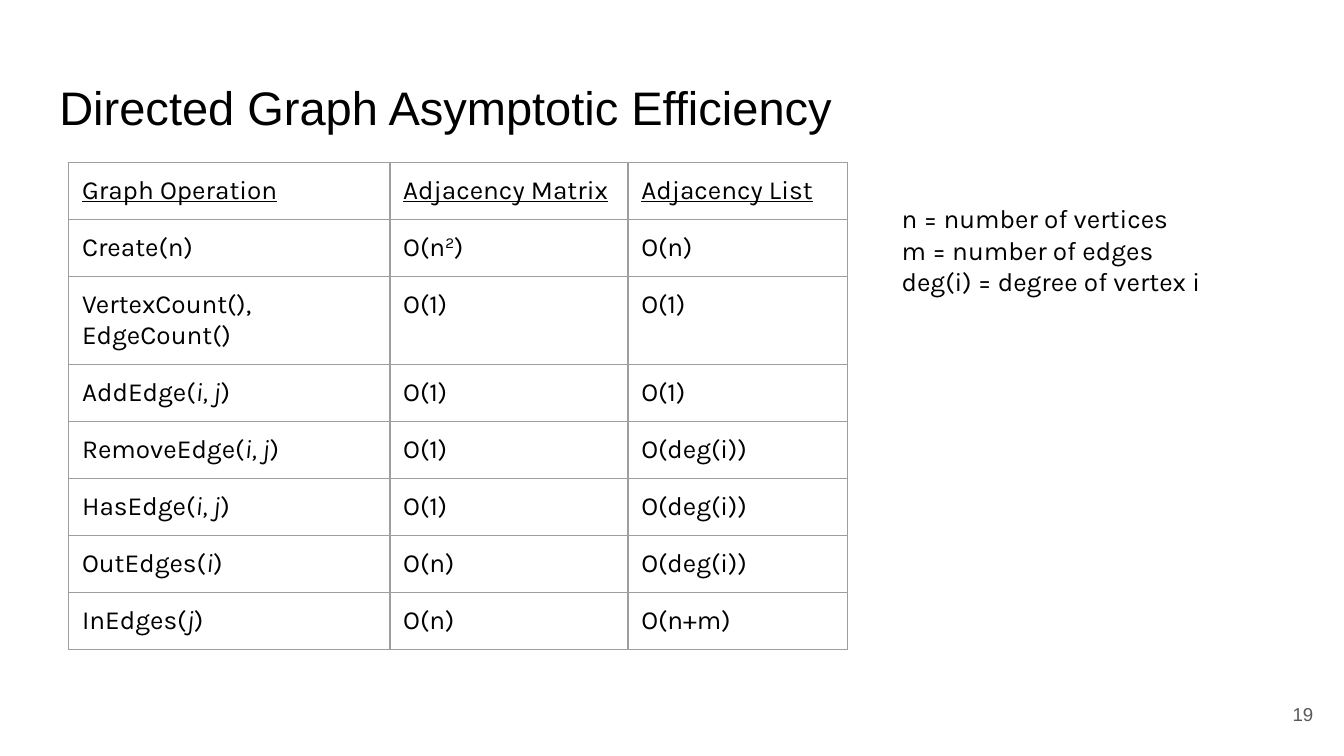
from dataclasses import dataclass
from typing import Any

from lxml.etree import SubElement
from pptx import Presentation
from pptx.dml.color import RGBColor
from pptx.enum.text import MSO_ANCHOR as Anchor, MSO_AUTO_SIZE as AutoSize, PP_ALIGN as Align
from pptx.oxml.ns import qn
from pptx.util import Cm, Pt

COLORS = {"ink": "000000", "number": "595959", "grid": "9E9E9E"}
INSET = Cm(0.25)
MARGINS = {f"margin_{side}": INSET for side in ("left", "right", "top", "bottom")}
BODY = {"name": "Karla", "size": Pt(14)}
HEADING = {**BODY, "underline": True}
ITALIC = {**BODY, "italic": True}
COLUMN_WIDTHS = (6.07, 4.5, 4.14)
ROW_HEIGHT = 1.08


@dataclass(frozen=True)
class Operation:
    name: str
    arguments: str
    matrix_cost: str
    list_cost: str
    matrix_power: str = ""


HEADINGS = ("Graph Operation", "Adjacency Matrix", "Adjacency List")
OPERATIONS = (
    Operation("Create(n)", "", "O(n", "O(n)", "2"),
    Operation("VertexCount(), EdgeCount()", "", "O(1)", "O(1)"),
    Operation("AddEdge", "i, j", "O(1)", "O(1)"),
    Operation("RemoveEdge", "i, j", "O(1)", "O(deg(i))"),
    Operation("HasEdge", "i, j", "O(1)", "O(deg(i))"),
    Operation("OutEdges", "i", "O(n)", "O(deg(i))"),
    Operation("InEdges", "j", "O(n)", "O(n+m)"),
)
LEGEND = ("n = number of vertices", "m = number of edges", "deg(i) = degree of vertex i")


def apply(target: Any, values: dict[str, Any]) -> None:
    for attribute, value in values.items():
        setattr(target, attribute, value)


def write(paragraph: Any, text: str, style: dict[str, Any], color: str = "ink") -> Any:
    run = paragraph.add_run()
    run.text = text
    apply(run.font, style)
    run.font.color.rgb = RGBColor.from_string(COLORS[color])
    return run


def format_frame(frame: Any, anchor: Any = Anchor.TOP) -> None:
    apply(frame, {**MARGINS, "word_wrap": True, "auto_size": AutoSize.NONE,
                  "vertical_anchor": anchor})


def add_text(slide: Any, left: float, top: float, width: float, height: float,
             anchor: Any = Anchor.TOP) -> Any:
    frame = slide.shapes.add_textbox(Cm(left), Cm(top), Cm(width), Cm(height)).text_frame
    format_frame(frame, anchor)
    return frame


def format_cell(cell: Any) -> None:
    apply(cell, MARGINS)
    properties = cell._tc.get_or_add_tcPr()
    for edge in ("a:lnL", "a:lnR", "a:lnT", "a:lnB"):
        line = SubElement(properties, qn(edge), w=str(Pt(0.75)))
        fill = SubElement(line, qn("a:solidFill"))
        SubElement(fill, qn("a:srgbClr"), val=COLORS["grid"])
    cell.fill.background()


def write_operation(cells: Any, operation: Operation) -> None:
    name, matrix, listing = (cell.text_frame.paragraphs[0] for cell in cells)
    if operation.arguments:
        write(name, f"{operation.name}(", BODY)
        write(name, operation.arguments, ITALIC)
        write(name, ")", BODY)
    else:
        write(name, operation.name, BODY)
    write(matrix, operation.matrix_cost, BODY)
    if operation.matrix_power:
        power = write(matrix, operation.matrix_power, BODY)
        power._r.get_or_add_rPr().set("baseline", "30000")
        write(matrix, ")", BODY)
    write(listing, operation.list_cost, BODY)


def add_efficiency_table(slide: Any, left: float, top: float) -> None:
    row_count = len(OPERATIONS) + 1
    table = slide.shapes.add_table(
        row_count, len(HEADINGS), Cm(left), Cm(top),
        Cm(sum(COLUMN_WIDTHS)), Cm(ROW_HEIGHT * row_count)).table
    apply(table, {"first_row": False, "horz_banding": False})
    for column, width in zip(table.columns, COLUMN_WIDTHS):
        column.width = Cm(width)
    for row in table.rows:
        row.height = Cm(ROW_HEIGHT)
    for cell in table.iter_cells():
        format_cell(cell)
    header, *body = table.rows
    for cell, heading in zip(header.cells, HEADINGS):
        write(cell.text_frame.paragraphs[0], heading, HEADING)
    for row, operation in zip(body, OPERATIONS):
        write_operation(row.cells, operation)


def main() -> None:
    deck = Presentation()
    apply(deck, {"slide_width": Cm(25.4), "slide_height": Cm(14.29)})
    slide = deck.slides.add_slide(deck.slide_layouts[5])

    title = slide.shapes.title
    apply(title, {"left": Cm(0.87), "top": Cm(1.24), "width": Cm(23.67), "height": Cm(1.6)})
    format_frame(title.text_frame)
    heading = title.text_frame.paragraphs[0]
    heading.alignment = Align.LEFT
    write(heading, "Directed Graph Asymptotic Efficiency", {"name": "Arial", "size": Pt(25.2)})

    page = add_text(slide, 23.55, 12.95, 1.52, 1.09, Anchor.MIDDLE).paragraphs[0]
    page.alignment = Align.RIGHT
    write(page, "19", {"name": "Arial", "size": Pt(10)}, "number")

    add_efficiency_table(slide, 1.3, 3.07)

    legend = add_text(slide, 16.79, 3.58, 8.6, 2.39)
    for index, definition in enumerate(LEGEND):
        paragraph = legend.add_paragraph() if index else legend.paragraphs[0]
        write(paragraph, definition, BODY)

    deck.save("out.pptx")


if __name__ == "__main__":
    main()
